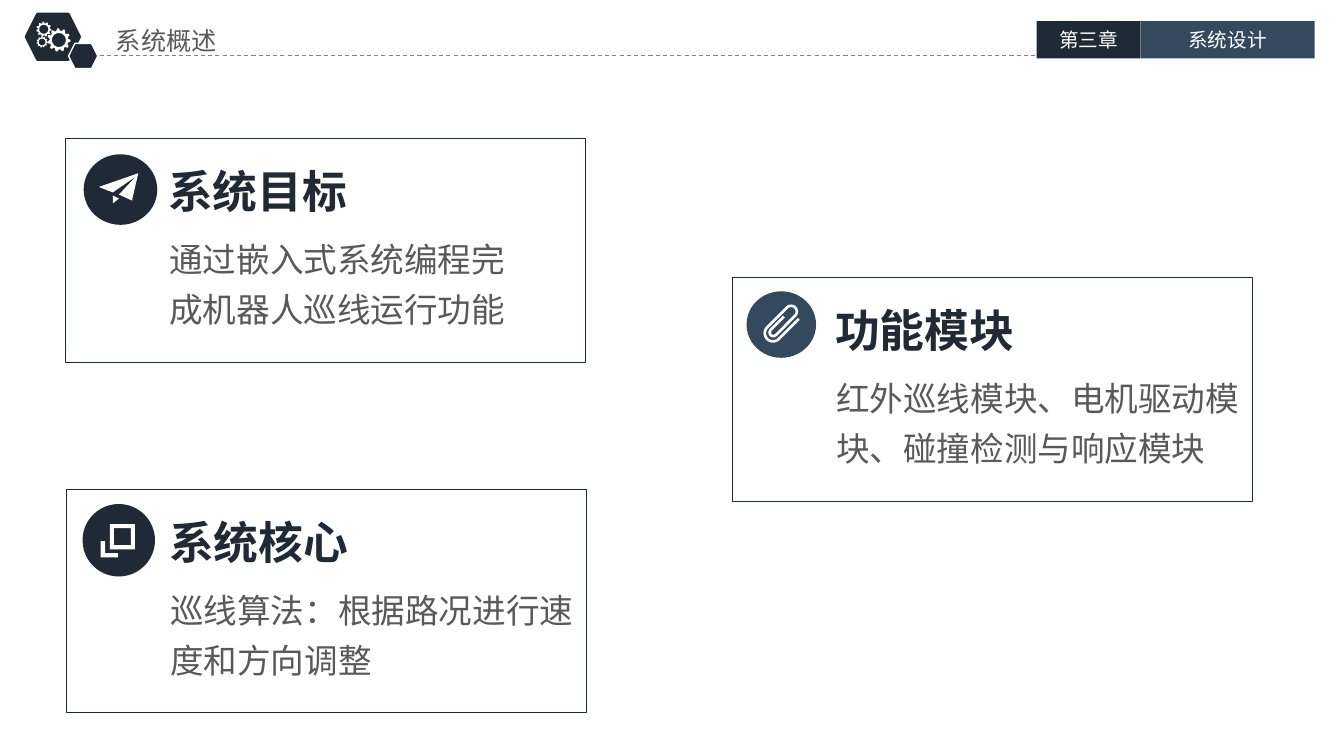
from math import cos, sin, pi, sqrt

from lxml.etree import SubElement
from pptx import Presentation
from pptx.dml.color import RGBColor
from pptx.enum.dml import MSO_LINE as Dash
from pptx.enum.shapes import MSO_CONNECTOR as Link, MSO_SHAPE as Kind
from pptx.enum.text import MSO_ANCHOR as Anchor, MSO_AUTO_SIZE as Fit, PP_ALIGN as Align
from pptx.oxml.ns import qn
from pptx.util import Pt

FONT = "Noto Sans CJK SC"
COLORS = {
    "navy": "202A36",
    "steel": "34495E",
    "text": "595959",
    "rule": "808080",
    "white": "FFFFFF",
}
CARD_W, CARD_H = 371.5, 159.8
CARDS = [  # left, top, heading, body, body width
    (46.8, 98.6, "系统目标", "通过嵌入式系统编程完成机器人巡线运行功能", 255),
    (523.4, 198, "功能模块", "红外巡线模块、电机驱动模块、碰撞检测与响应模块", 291),
    (47.5, 349.2, "系统核心", "巡线算法：根据路况进行速度和方向调整", 291),
]
DISCS = [  # left, top, width, height, color
    (59.8, 110.2, 52.6, 50.4, "navy"),
    (533.5, 208.1, 49.7, 47.5, "steel"),
    (59, 360, 51.8, 51.8, "navy"),
]
GEARS = [(42.1, 28.6, 8.3), (31.3, 20.9, 5.4), (30.1, 30, 4)]  # center, radius
PLANE = [
    [(80.6, 145.4), (85, 141.8), (80.6, 139.7)],
    [(98.8, 123.8), (70.6, 133.6), (77, 136.1), (80.6, 137.5),
     (97.2, 126), (85, 139), (94.3, 143.3)],
]


def rgb(name):
    return RGBColor.from_string(COLORS[name])


def paint(shape, fill=None, line=None, weight=1):
    shape.shadow.inherit = False
    if fill:
        shape.fill.solid()
        shape.fill.fore_color.rgb = rgb(fill)
    else:
        shape.fill.background()
    if line:
        shape.line.color.rgb = rgb(line)
        shape.line.width = Pt(weight)
    else:
        shape.line.fill.background()


def add(slide, kind, left, top, width, height, **look):
    shape = slide.shapes.add_shape(kind, Pt(left), Pt(top), Pt(width), Pt(height))
    paint(shape, **look)
    return shape


def write(shape, text, size=14, color="text", bold=False, align=Align.LEFT,
          anchor=Anchor.TOP, inset=(0, 0), space=1):
    frame = shape.text_frame
    frame.word_wrap = True
    frame.auto_size = Fit.NONE
    frame.vertical_anchor = anchor
    frame.margin_left = frame.margin_right = Pt(inset[0])
    frame.margin_top = frame.margin_bottom = Pt(inset[1])
    para = frame.paragraphs[0]
    para.alignment = align
    para.line_spacing = space
    run = para.add_run()
    run.text = text
    font = run.font
    font.name, font.size, font.bold = FONT, Pt(size), bold
    font.color.rgb = rgb(color)
    SubElement(font._element, qn("a:ea"), typeface=FONT)


def add_text(slide, left, top, width, height, text, **style):
    box = slide.shapes.add_textbox(Pt(left), Pt(top), Pt(width), Pt(height))
    write(box, text, **style)


def trace(slide, paths, close=True, **look):
    pen = None
    for path in paths:
        start, *rest = [(Pt(x), Pt(y)) for x, y in path]
        if pen is None:
            pen = slide.shapes.build_freeform(*start)
        else:
            pen.move_to(*start)
        pen.add_line_segments(rest, close=close)
    paint(pen.convert_to_shape(), **look)


def ring(x, y, radii):
    step = 2 * pi / len(radii)
    return [(x + r * cos(i * step), y + r * sin(i * step))
            for i, r in enumerate(radii)]


def add_gear(slide, x, y, radius):
    teeth = [radius, radius, radius * 0.8, radius * 0.8] * 11
    hole = [radius * 0.6] * 32
    trace(slide, [ring(x, y, teeth), ring(x, y, hole)], fill="white")


def add_clip(slide, x, y):
    # Points run along the clip (u) and across it (v), then turn by 45 degrees
    points = [(11.7, 7.1)]
    bends = [(-8.5, 7.1, -4.7, -1), (11.5, -4.7, 3.6, 1), (-8, 3.6, -1.6, -1)]
    for u, v1, v2, way in bends:
        mid, half = (v1 + v2) / 2, (v1 - v2) / 2
        for i in range(13):
            turn = i * pi / 12
            points.append((u + way * abs(half) * sin(turn), mid + half * cos(turn)))
    points.append((5.4, -1.6))
    path = [(x + (u + v) / sqrt(2), y + (v - u) / sqrt(2)) for u, v in points]
    trace(slide, [path], close=False, line="white", weight=1.9)


def square(left, top, side):
    return [(left, top), (left + side, top),
            (left + side, top + side), (left, top + side)]


def add_panes(slide):
    corner = [(72, 386.6), (75.2, 386.6), (75.2, 395.2),
              (84.2, 395.2), (84.2, 398.2), (72, 398.2)]
    trace(slide, [corner, square(78.5, 374.4, 18), square(81.4, 377.3, 12.2)],
          fill="white")


def add_card(slide, left, top, head, body, width):
    add(slide, Kind.RECTANGLE, left, top, CARD_W, CARD_H, line="navy", weight=0.25)
    add_text(slide, left + 73.4, top + 18.7, 255, 38, head,
             size=32, color="navy", bold=True, anchor=Anchor.MIDDLE)
    add_text(slide, left + 74.2, top + 64.8, width, 113, body, size=24, space=1.25)


def add_header(slide):
    title = slide.shapes.title
    title.left, title.top, title.width, title.height = Pt(77.8), Pt(15.1), Pt(147.6), Pt(27.4)
    write(title, "系统概述", size=18, inset=(5, 2.9))

    rule = slide.shapes.add_connector(Link.STRAIGHT, Pt(66.2), Pt(39.6), Pt(740.9), Pt(39.6))
    rule.line.color.rgb = rgb("rule")
    rule.line.width = Pt(0.75)
    rule.line.dash_style = Dash.DASH
    SubElement(rule._element.spPr, qn("a:effectLst"))

    add(slide, Kind.HEXAGON, 18.7, 10.1, 38.2, 32.4, fill="navy", line="navy", weight=2)
    add(slide, Kind.HEXAGON, 49, 31, 20.9, 18, fill="navy", line="white")
    for gear in GEARS:
        add_gear(slide, *gear)

    for left, width, fill, text in [(740.9, 74, "navy", "第三章"),
                                    (814.9, 124.7, "steel", "系统设计")]:
        tab = add(slide, Kind.RECTANGLE, left, 15.1, width, 26.6, fill=fill)
        write(tab, text, color="white", align=Align.CENTER, anchor=Anchor.MIDDLE)


def main():
    deck = Presentation()
    deck.slide_width, deck.slide_height = Pt(960.5), Pt(540)
    slide = deck.slides.add_slide(deck.slide_layouts[5])

    add_header(slide)

    # Cards
    for card in CARDS:
        add_card(slide, *card)

    # Round icons
    for *place, fill in DISCS:
        add(slide, Kind.OVAL, *place, fill=fill)
    trace(slide, PLANE, fill="white")
    add_clip(slide, 557.6, 231.1)
    add_panes(slide)

    deck.save("out.pptx")


if __name__ == "__main__":
    main()
